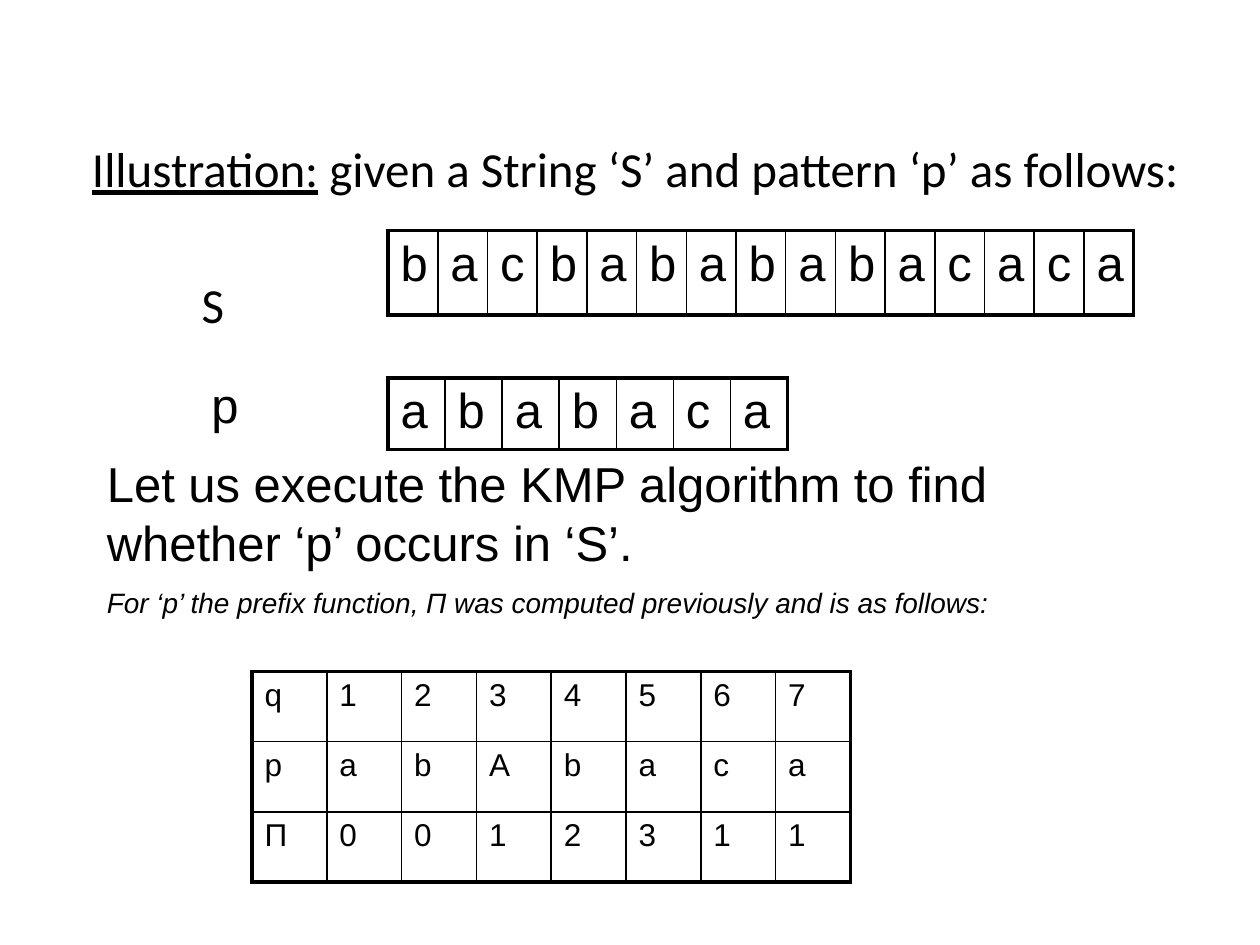
from lxml import etree
from pptx import Presentation
from pptx.enum import text
from pptx.oxml import ns
from pptx.dml.color import RGBColor
from pptx.util import Inches, Pt

COLORS = {"ink": "000000"}
THIN, THICK = 1, 2.25


def add_run(p, content, font="Arial", size=28, underline=None, italic=None):
    r = p.add_run()
    r.text = content
    r.font.name = font
    r.font.size = Pt(size)
    r.font.underline = underline
    r.font.italic = italic
    r.font.color.rgb = RGBColor.from_string(COLORS["ink"])


def set_borders(cell, widths):
    """Draw cell borders from a dict of side letter to width in points."""
    tc_pr = cell._tc.get_or_add_tcPr()
    for side in "LRTB":
        ln = etree.SubElement(tc_pr, ns.qn(f"a:ln{side}"), w=str(Pt(widths[side])))
        fill = etree.SubElement(ln, ns.qn("a:solidFill"))
        etree.SubElement(fill, ns.qn("a:srgbClr"), val=COLORS["ink"])


class SlideBuilder:
    def __init__(self, prs):
        self.s = prs.slides.add_slide(prs.slide_layouts[1])
        title = self.s.shapes.title
        title.element.getparent().remove(title.element)

    def body(self, box):
        sp = self.s.placeholders[1]
        sp.left, sp.top, sp.width, sp.height = map(Inches, box)
        sp.text_frame.auto_size = text.MSO_AUTO_SIZE.NONE
        return sp.text_frame

    def body_paragraph(self, p, indent=0, hanging=0, before=0):
        """Remove the bullet and set the indents in inches."""
        p_pr = p._p.get_or_add_pPr()
        p_pr.set("marL", str(Inches(indent)))
        p_pr.set("indent", str(Inches(-hanging)))
        etree.SubElement(p_pr, ns.qn("a:buNone"))
        p.space_before = Pt(before)

    def text_box(self, box, wrap=True):
        tf = self.s.shapes.add_textbox(*map(Inches, box)).text_frame
        tf.word_wrap = wrap
        tf.auto_size = text.MSO_AUTO_SIZE.SHAPE_TO_FIT_TEXT
        return tf

    def table(self, box, rows, size=28):
        n_rows, n_cols = len(rows), len(rows[0])
        left, top, width, height = map(Inches, box)
        table = self.s.shapes.add_table(n_rows, n_cols, left, top, width, height).table
        table.first_row = table.horz_banding = False
        for i, row in enumerate(rows):
            for j, value in enumerate(row):
                cell = table.cell(i, j)
                set_borders(cell, {
                    "L": THICK if j == 0 else THIN,
                    "R": THICK if j == n_cols - 1 else THIN,
                    "T": THICK if i == 0 else THIN,
                    "B": THICK if i == n_rows - 1 else THIN,
                })
                cell.fill.background()
                add_run(cell.text_frame.paragraphs[0], value, size=size)


def main():
    prs = Presentation()
    prs.slide_width, prs.slide_height = Inches(10), Inches(7.5)
    slide = SlideBuilder(prs)

    tf = slide.body((0.63, 1.05, 9, 6.37))
    p = tf.paragraphs[0]
    slide.body_paragraph(p, indent=0.38, hanging=0.38)
    add_run(p, "Illustration:", font="Calibri", underline=True)
    add_run(p, " given a String ‘S’ and pattern ‘p’ as follows:", font="Calibri")
    p = tf.add_paragraph()
    slide.body_paragraph(p, indent=0.87, before=44)
    add_run(p, "S", font="Calibri")

    slide.table((3.08, 1.83, 5.92, 0.67), ["bacbababababacaca"[:5] + "bababacaca"])

    tf = slide.text_box((1.58, 2.92, 0.42, 0.57), wrap=False)
    add_run(tf.paragraphs[0], "p")
    slide.table((3.08, 3, 3.17, 0.57), ["ababaca"])

    tf = slide.text_box((0.75, 3.55, 8.1, 1.45))
    add_run(tf.paragraphs[0],
            "Let us execute the KMP algorithm to find whether ‘p’ occurs in ‘S’.")
    p = tf.add_paragraph()
    p.space_before = Pt(8)
    add_run(p, "For ‘p’ the prefix function, Π was computed previously and is as follows:",
            size=16, italic=True)

    slide.table((2, 5.33, 4.75, 1.67), ["q1234567", "pabAbaca", "Π0012311"], size=18)
    prs.save("out.pptx")


if __name__ == "__main__":
    main()
